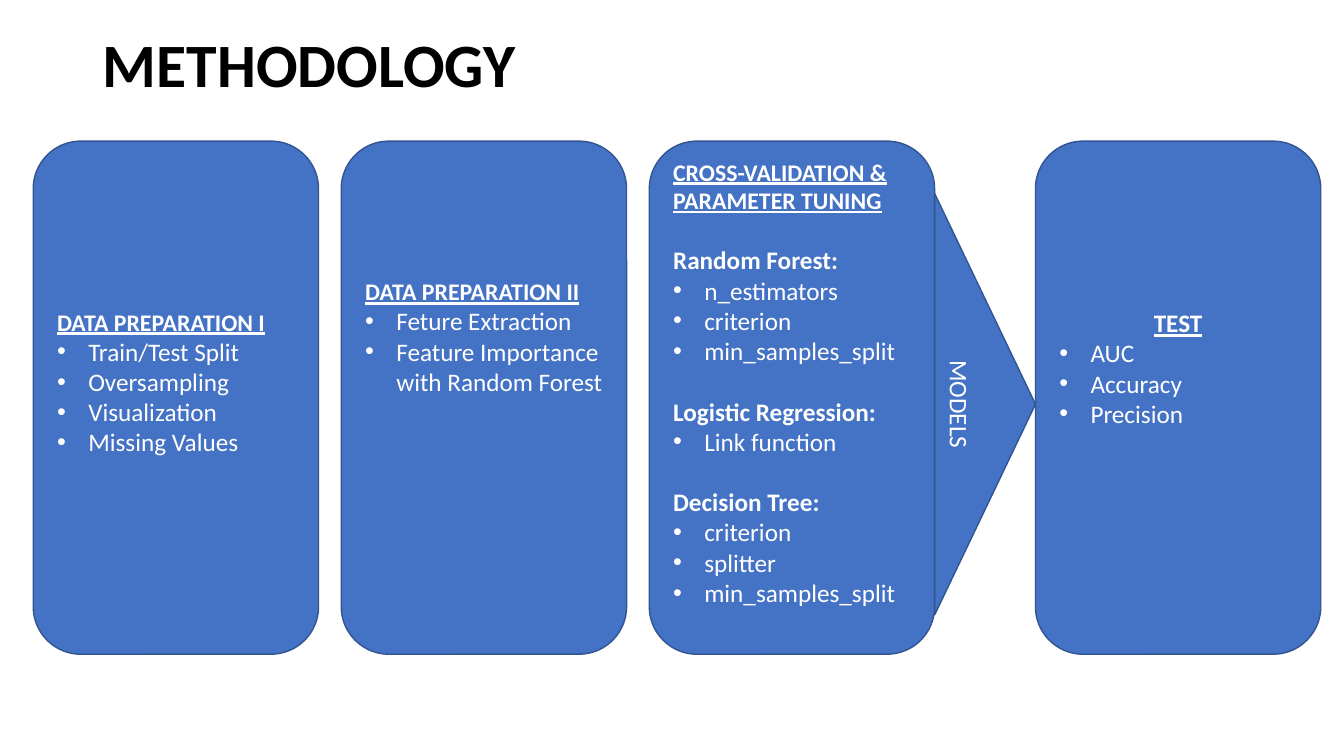
import pptx
import pptx.util
import pptx.dml.color
import pptx.enum.shapes
import pptx.enum.text
import pptx.oxml.ns
from lxml import etree

Inches, Pt = pptx.util.Inches, pptx.util.Pt
SHAPE = pptx.enum.shapes.MSO_SHAPE
ALIGN = pptx.enum.text.PP_ALIGN
ANCHOR = pptx.enum.text.MSO_ANCHOR

# Content: each stage has a heading, its size and alignment, the top of its text,
# and groups of (subheading, bullets)
TITLE = "METHODOLOGY"
ARROW_LABEL = "MODELS"
STAGES = [
    ("DATA PREPARATION I", 17, ALIGN.LEFT, 3.05, [
        (None, ["Train/Test Split", "Oversampling", "Visualization", "Missing Values"])]),
    ("DATA PREPARATION II", 17, ALIGN.LEFT, 2.75, [
        (None, ["Feture Extraction", "Feature Importance with Random Forest"])]),
    ("CROSS-VALIDATION & PARAMETER TUNING", 17, ALIGN.LEFT, 1.56, [
        ("Random Forest:", ["n_estimators", "criterion", "min_samples_split"]),
        ("Logistic Regression:", ["Link function"]),
        ("Decision Tree:", ["criterion", "splitter", "min_samples_split"])]),
    ("TEST", 18, ALIGN.CENTER, 3.05, [
        (None, ["AUC", "Accuracy", "Precision"])]),
]
COLORS = {"fill": "4472C4", "line": "325491", "text": "FFFFFF", "title": "000000"}
FONT = "Calibri"

# Grid: equal panels, with a wider gap for the arrow before the last one
LEFT, TOP, PANEL_W, PANEL_H, GAP = 0.33, 1.4, 2.83, 5.09, 0.225
ARROW_W, ARROW_SPAN = 1.0, 4.18
CORNER_INSET = 0.29289 * PANEL_W / 6
BODY_SIZE, BLANK_LINE, INDENT = 18, 21.6, 0.31


def color(name):
    return pptx.dml.color.RGBColor.from_string(COLORS[name])


def add_box(kind, left, top, width, height):
    box = slide.shapes.add_shape(kind, *map(Inches, (left, top, width, height)))
    box.shadow.inherit = False
    box.fill.solid()
    box.fill.fore_color.rgb = color("fill")
    box.line.color.rgb = color("line")
    box.line.width = Pt(1)
    return box


def write(paragraph, text, size=BODY_SIZE, align=ALIGN.LEFT, ink="text", bold=False,
          underline=False):
    paragraph.text = text
    paragraph.alignment = align
    font = paragraph.runs[0].font
    font.name, font.size, font.bold, font.underline = FONT, Pt(size), bold, underline
    font.color.rgb = color(ink)


def add_bullet(paragraph):
    props = paragraph._p.get_or_add_pPr()
    props.set("marL", str(Inches(INDENT)))
    props.set("indent", str(-Inches(INDENT)))
    for tag, key, value in (("a:buFont", "typeface", "Arial"), ("a:buChar", "char", "•")):
        etree.SubElement(props, pptx.oxml.ns.qn(tag)).set(key, value)


prs = pptx.Presentation()
prs.slide_width, prs.slide_height = Inches(13.33), Inches(7.5)
slide = prs.slides.add_slide(prs.slide_layouts[5])

# Title
title = slide.shapes.title
title.left, title.top, title.width, title.height = map(Inches, (0.92, -0.05, 11.5, 1.45))
title.text_frame.vertical_anchor = ANCHOR.MIDDLE
write(title.text_frame.paragraphs[0], TITLE, 44, ink="title", bold=True)
title.text_frame.paragraphs[0].line_spacing = 0.9

# Stage panels
for column, (heading, heading_size, heading_align, text_top, groups) in enumerate(STAGES):
    is_last = column == len(STAGES) - 1
    left = LEFT + column * (PANEL_W + GAP) + (ARROW_W - GAP if is_last else 0)
    panel = add_box(SHAPE.ROUNDED_RECTANGLE, left, TOP, PANEL_W, PANEL_H)
    frame = panel.text_frame
    frame.word_wrap = True
    frame.vertical_anchor = ANCHOR.TOP
    frame.margin_top = Inches(text_top - TOP - CORNER_INSET)
    write(frame.paragraphs[0], heading, heading_size, heading_align, bold=True, underline=True)
    for subheading, bullets in groups:
        if subheading:
            paragraph = frame.add_paragraph()
            write(paragraph, subheading, bold=True)
            paragraph.space_before = Pt(BLANK_LINE)
        for bullet in bullets:
            paragraph = frame.add_paragraph()
            write(paragraph, bullet)
            add_bullet(paragraph)

# Arrow from tuning to test, turned to point right
arrow_center = left - ARROW_W / 2
arrow = add_box(SHAPE.ISOSCELES_TRIANGLE, arrow_center - ARROW_SPAN / 2, 3.51,
                ARROW_SPAN, ARROW_W)
arrow.rotation = 90
arrow.text_frame.vertical_anchor = ANCHOR.MIDDLE
write(arrow.text_frame.paragraphs[0], ARROW_LABEL, align=ALIGN.CENTER)

prs.save("out.pptx")
